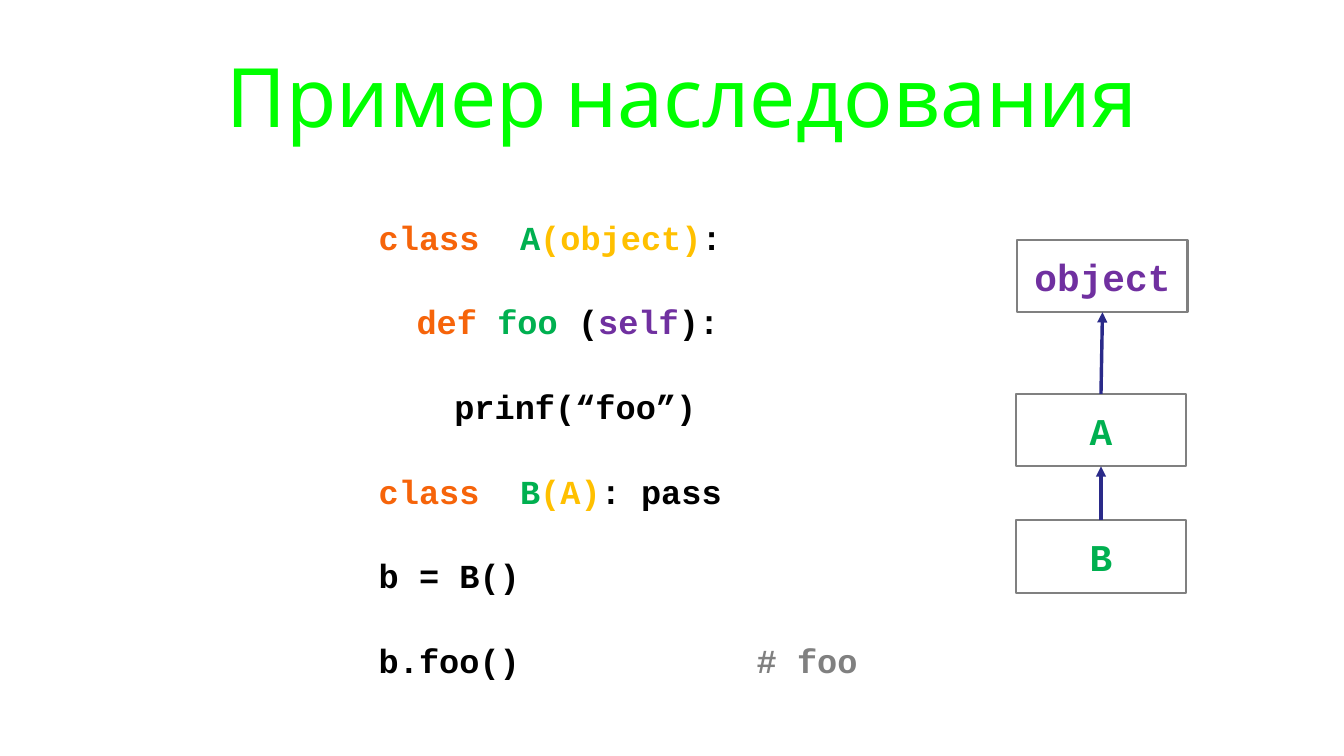
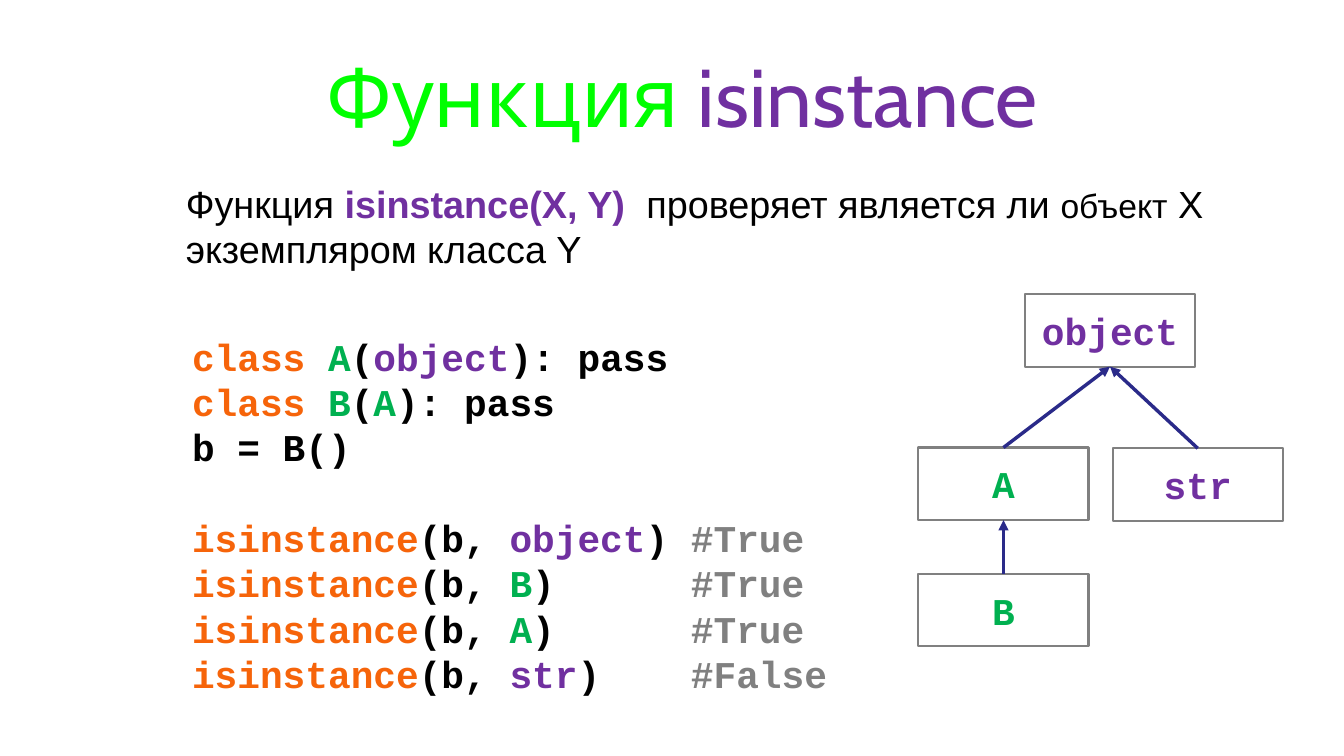
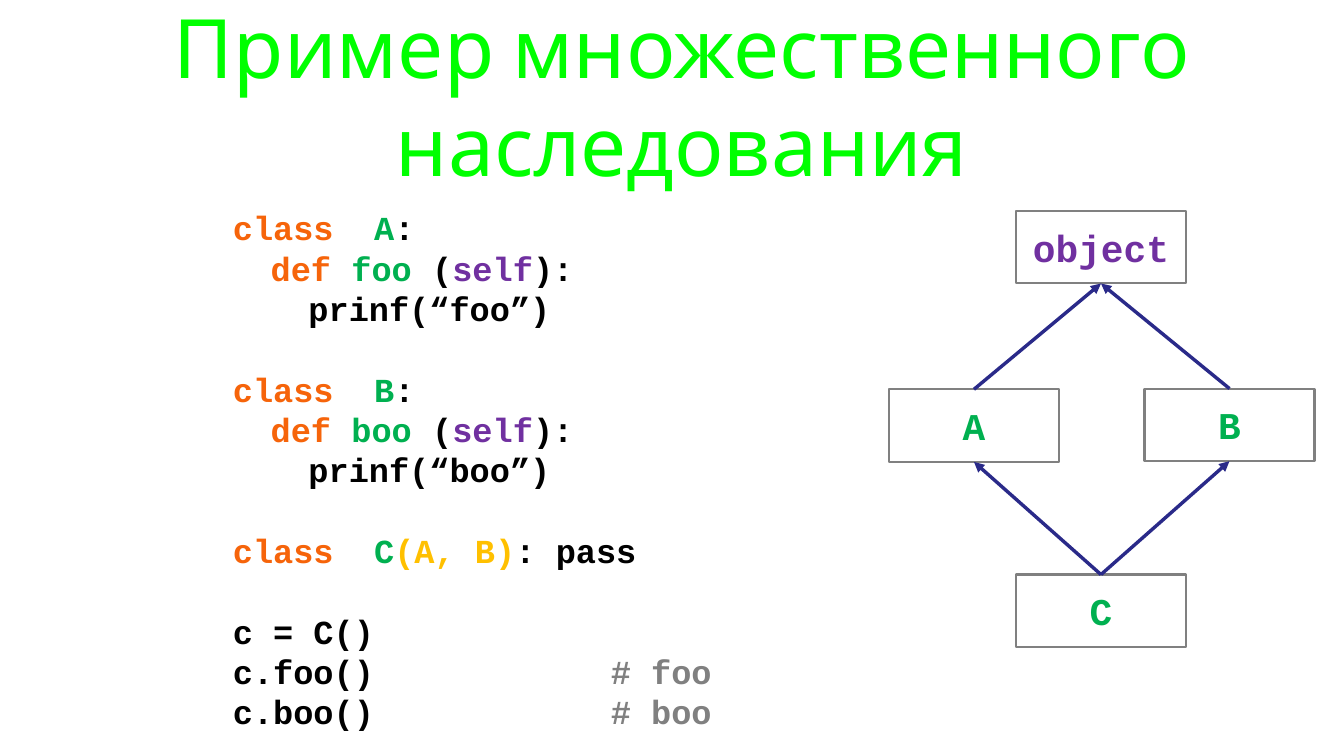
"""Build three slides about class inheritance: coloured code beside class diagrams."""
from lxml import etree
from pptx import Presentation
from pptx import util as u
from pptx.dml.color import RGBColor
from pptx.enum import shapes, text
from pptx.oxml.ns import qn

COLORS = {
    "title": "00FF00", "keyword": "F6640A", "name": "00B050", "base": "FFC000",
    "builtin": "7030A0", "plain": "000000", "comment": "808080",
    "box": "FFFFFF", "border": "808080", "arrow": "2A2A89",
}
TITLE = {"name": "Cabin", "size": u.Pt(78)}
BODY = {"name": "Arial", "size": u.Pt(36), "bold": False}
CODE = {"name": "Courier New", "size": u.Pt(32), "bold": True}
BIG_CODE = {**CODE, "size": u.Pt(36)}
BOX_WIDTH, BOX_HEIGHT = 2.25, 0.96
LINE_HEIGHT = 1.2


def class_line(name, bases="", tail=":"):
    return [("keyword", "class  "), ("name", name), ("base", bases), ("plain", tail)]


def method_lines(name):
    return [
        [("keyword", "\tdef "), ("name", name + " "), ("plain", "("),
         ("builtin", "self"), ("plain", "):")],
        [("plain", f"\t\tprinf(“{name}”)")],
    ]


def subclass_line(name, base, kind):
    return [("keyword", "class "), ("name", name), ("plain", "("),
            (kind, base), ("plain", "): pass")]


def check_line(kind, name, answer):
    return [("keyword", "isinstance"), ("plain", "(b, "), (kind, name),
            ("plain", ")\t"), ("comment", "#" + answer)]


def call_line(call, result):
    return [("plain", call + "\t"), ("comment", "# " + result)]


SLIDES = [
    {
        "title": [("title", "Пример наследования")],
        "code": {
            "at": (4.82, 2.5, 8.41, 7.36), "insets": (0.19, 0.1),
            "font": CODE, "tab": 5, "gaps": [],
            "format": {"line_spacing": 1.5, "space_before": u.Pt(23)},
            "lines": [class_line("A", "(object)"), *method_lines("foo"),
                      class_line("B", "(A)", ": pass"),
                      [("plain", "b = B()")], call_line("b.foo()", "foo")],
        },
        "boxes": {"object": (13.46, 3.17), "A": (13.44, 5.21), "B": (13.44, 6.88)},
        "arrows": [("A", "object"), ("B", "A")],
    },
    {
        "title": [("title", "Функция "), ("builtin", "isinstance")],
        "note": {
            "at": (2.36, 2.34, 14.26, 1.31),
            "runs": [
                ("plain", "Функция ", {}),
                ("builtin", "isinstance(X, Y)  ", {"bold": True}),
                ("plain", "проверяет является ли ", {}),
                ("plain", "объект", {"size": u.Pt(32)}),
                ("plain", " X экземпляром класса Y", {}),
            ],
        },
        "code": {
            "at": (2.05, 4.01, 11.61, 5.6), "insets": (0.49, 0.05),
            "font": BIG_CODE, "tab": 6.6, "gaps": [3], "format": {},
            "anchor": text.MSO_ANCHOR.MIDDLE,
            "lines": [subclass_line("A", "object", "builtin"),
                      subclass_line("B", "A", "name"), [("plain", "b = B()")],
                      check_line("builtin", "object", "True"),
                      check_line("name", "B", "True"),
                      check_line("name", "A", "True"),
                      check_line("builtin", "str", "False")],
        },
        "boxes": {"object": (13.56, 3.89), "A": (12.15, 5.92),
                  "B": (12.15, 7.59), "str": (14.72, 5.93)},
        "arrows": [("A", "object"), ("B", "A"), ("str", "object")],
    },
    {
        "title": [("title", "Пример множественного наследования")],
        "code": {
            "at": (2.89, 2.64, 9.42, 7.36), "insets": (0.19, 0.1),
            "font": CODE, "tab": 5, "gaps": [3, 6, 7], "format": {},
            "lines": [class_line("A"), *method_lines("foo"),
                      class_line("B"), *method_lines("boo"),
                      class_line("C", "(A, B)", ": pass"), [("plain", "c = C()")],
                      call_line("c.foo()", "foo"), call_line("c.boo()", "boo")],
        },
        "boxes": {"object": (13.44, 2.79), "A": (11.76, 5.15),
                  "B": (15.14, 5.14), "C": (13.44, 7.6)},
        "arrows": [("A", "object"), ("B", "object"), ("C", "A"), ("C", "B")],
    },
]


def color(key):
    return RGBColor.from_string(COLORS[key])


def apply(target, values):
    for attribute, value in values.items():
        setattr(target, attribute, value)


def add_run(paragraph, key, words, font):
    if words:
        run = paragraph.add_run()
        run.text = words
        apply(run.font, font)
        run.font.color.rgb = color(key)


def add_text_box(slide, at, insets, anchor=text.MSO_ANCHOR.TOP):
    frame = slide.shapes.add_textbox(*map(u.Inches, at)).text_frame
    side, top = map(u.Inches, insets)
    apply(frame, {"word_wrap": True, "vertical_anchor": anchor,
                  "margin_left": side, "margin_right": u.Inches(0.06),
                  "margin_top": top, "margin_bottom": top})
    return frame


def add_title(slide, runs):
    frame = add_text_box(slide, (0.26, 0, 17.52, 2.5), (0.06, 0.06),
                         text.MSO_ANCHOR.MIDDLE)
    paragraph = frame.paragraphs[0]
    paragraph.alignment = text.PP_ALIGN.CENTER
    for key, words in runs:
        add_run(paragraph, key, words, TITLE)


def add_note(slide, note):
    paragraph = add_text_box(slide, note["at"], (0.1, 0.05)).paragraphs[0]
    for key, words, changes in note["runs"]:
        add_run(paragraph, key, words, {**BODY, **changes})


def add_tab_stop(paragraph, position):
    properties = paragraph._p.get_or_add_pPr()
    stops = etree.SubElement(properties, qn("a:tabLst"))
    etree.SubElement(stops, qn("a:tab"), pos=str(u.Inches(position)), algn="l")


def add_code(slide, code):
    frame = add_text_box(slide, code["at"], code["insets"],
                         code.get("anchor", text.MSO_ANCHOR.TOP))
    for index, line in enumerate(code["lines"]):
        paragraph = frame.add_paragraph() if index else frame.paragraphs[0]
        apply(paragraph, code["format"])
        if index in code["gaps"]:
            paragraph.space_before = u.Pt(code["font"]["size"].pt * LINE_HEIGHT)
        if line[-1][0] == "comment":
            add_tab_stop(paragraph, code["tab"])
        for key, words in line:
            add_run(paragraph, key, words, code["font"])


def add_class_box(slide, name, corner):
    shape = slide.shapes.add_shape(
        shapes.MSO_SHAPE.RECTANGLE, *map(u.Inches, (*corner, BOX_WIDTH, BOX_HEIGHT)))
    shape.shadow.inherit = False
    shape.fill.solid()
    shape.fill.fore_color.rgb = color("box")
    shape.line.color.rgb = color("border")
    shape.line.width = u.Pt(2)
    shape.text_frame.vertical_anchor = text.MSO_ANCHOR.MIDDLE
    paragraph = shape.text_frame.paragraphs[0]
    paragraph.alignment = text.PP_ALIGN.CENTER
    key = "builtin" if name in ("object", "str") else "name"
    add_run(paragraph, key, name, BIG_CODE)


def add_arrow(slide, child, parent):
    start = (child[0] + BOX_WIDTH / 2, child[1])
    end = (parent[0] + BOX_WIDTH / 2, parent[1] + BOX_HEIGHT)
    connector = slide.shapes.add_connector(
        shapes.MSO_CONNECTOR.STRAIGHT, *map(u.Inches, (*start, *end)))
    connector.line.color.rgb = color("arrow")
    connector.line.width = u.Pt(3.25)
    etree.SubElement(connector.line._get_or_add_ln(), qn("a:tailEnd"), type="triangle")
    etree.SubElement(connector._element.spPr, qn("a:effectLst"))


def main():
    presentation = Presentation()
    presentation.slide_width = u.Inches(17.78)
    presentation.slide_height = u.Inches(10)
    for content in SLIDES:
        slide = presentation.slides.add_slide(presentation.slide_layouts[6])
        add_title(slide, content["title"])
        if "note" in content:
            add_note(slide, content["note"])
        add_code(slide, content["code"])
        boxes = content["boxes"]
        for name, corner in boxes.items():
            add_class_box(slide, name, corner)
        for child, parent in content["arrows"]:
            add_arrow(slide, boxes[child], boxes[parent])
    presentation.save("out.pptx")


if __name__ == "__main__":
    main()
